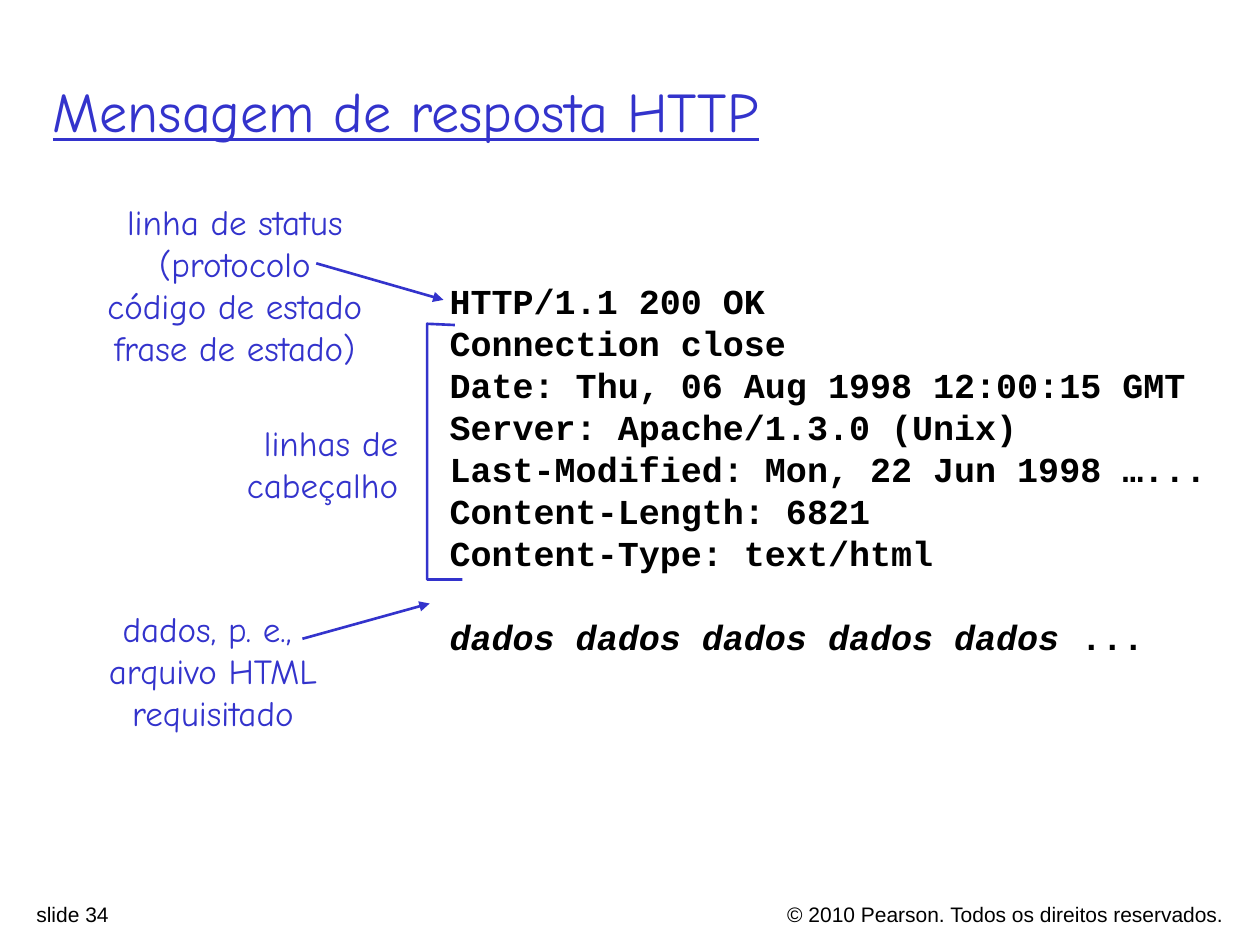
from pptx import Presentation
from pptx.dml.color import RGBColor
from pptx.enum.shapes import MSO_CONNECTOR
from pptx.enum.text import MSO_ANCHOR, PP_ALIGN
from pptx.oxml.ns import qn
from pptx.util import Inches, Pt
from lxml import etree

LEFT, CENTER, RIGHT = PP_ALIGN.LEFT, PP_ALIGN.CENTER, PP_ALIGN.RIGHT
MIDDLE = MSO_ANCHOR.MIDDLE
STRAIGHT = MSO_CONNECTOR.STRAIGHT
COLUMNS, ROWS = 100, 75
TITLE_ONLY = 5


def color(hex_text):
    return RGBColor.from_string(hex_text)


class HttpSlide:
    accent, ink = "3333CC", "000000"
    hand, mono, plain = "Comic Neue", "Courier New", "Arial"
    line_width = Pt(1.5)
    leading = Pt(24)

    def __init__(self, deck):
        self.slide = deck.slides.add_slide(deck.slide_layouts[TITLE_ONLY])
        self.column = deck.slide_width / COLUMNS
        self.row = deck.slide_height / ROWS

    def point(self, x, y):
        return round(x * self.column), round(y * self.row)

    def box(self, left, top, width, height):
        return *self.point(left, top), *self.point(width, height)

    def style(self, paragraph, font, size, hex_text, align=LEFT):
        paragraph.alignment = align
        paragraph.font.name = font
        paragraph.font.size = Pt(size)
        paragraph.font.color.rgb = color(hex_text)

    def title(self, text, *place):
        heading = self.slide.shapes.title
        heading.left, heading.top, heading.width, heading.height = self.box(*place)
        frame = heading.text_frame
        frame.text = text
        frame.vertical_anchor = MIDDLE
        self.style(frame.paragraphs[0], self.hand, 32, self.accent)
        frame.paragraphs[0].font.underline = True

    def text(self, lines, place, font, size, hex_text, align=LEFT, wrap=True):
        frame = self.slide.shapes.add_textbox(*self.box(*place)).text_frame
        frame.word_wrap = wrap
        frame.text = "\n".join(lines)
        for paragraph in frame.paragraphs:
            self.style(paragraph, font, size, hex_text, align)
        return frame.paragraphs

    def footer(self, line, place, align):
        self.text([line], place, self.plain, 12, self.ink, align)

    def label(self, lines, place, align=CENTER):
        for paragraph in self.text(lines, place, self.hand, 20, self.accent, align, False):
            paragraph.line_spacing = self.leading

    def message(self, headers, body, ending, place):
        paragraphs = self.text(headers + [body], place, self.mono, 20, self.ink)
        for paragraph in paragraphs:
            paragraph.line_spacing = self.leading
            paragraph.font.bold = True
        body_line = paragraphs[-1]
        body_line.space_before = self.leading
        body_line.runs[0].font.italic = True
        body_line.add_run().text = ending

    def arrow(self, start, end):
        connector = self.slide.shapes.add_connector(
            STRAIGHT, *self.point(*start), *self.point(*end))
        connector.line.color.rgb = color(self.accent)
        connector.line.width = self.line_width
        outline = connector.line._get_or_add_ln()
        etree.SubElement(outline, qn("a:tailEnd"), type="triangle")
        etree.SubElement(connector._element.spPr, qn("a:effectLst"))

    def bracket(self, start, *corners):
        builder = self.slide.shapes.build_freeform(*self.point(*start))
        builder.add_line_segments([self.point(*corner) for corner in corners], close=False)
        outline = builder.convert_to_shape()
        outline.shadow.inherit = False
        outline.fill.background()
        outline.line.color.rgb = color(self.accent)
        outline.line.width = self.line_width


def main():
    deck = Presentation()
    deck.slide_width, deck.slide_height = Inches(10), Inches(7.5)
    page = HttpSlide(deck)

    page.footer("© 2010 Pearson. Todos os direitos reservados.",
                (47, 71.1, 51.1, 2.4), RIGHT)
    page.footer("slide 34", (1.9, 71.1, 35.2, 2.3), LEFT)
    page.title("Mensagem de resposta HTTP", 3.2, 2.5, 87.6, 12.5)

    page.message(
        ["HTTP/1.1 200 OK",
         "Connection close",
         "Date: Thu, 06 Aug 1998 12:00:15 GMT",
         "Server: Apache/1.3.0 (Unix)",
         "Last-Modified: Mon, 22 Jun 1998 …...",
         "Content-Length: 6821",
         "Content-Type: text/html"],
        "dados dados dados dados dados", " ...", (34.7, 21.7, 63.8, 31))

    page.label(["linha de status", "(protocolo", "código de estado", "frase de estado)"],
               (7.5, 15.4, 22.3, 14.4))
    page.arrow((25.1, 20.9), (35.2, 23.8))
    page.bracket((36.1, 25.8), (33.9, 25.7), (33.9, 46), (36.7, 46))
    page.label(["linhas de", "cabeçalho"], (18.6, 33, 14, 7.7), RIGHT)
    page.arrow((24, 50.7), (34.1, 47.9))
    page.label(["dados, p. e., ", "arquivo HTML", "requisitado"], (7.5, 47.7, 18.8, 11))

    deck.save("out.pptx")


if __name__ == "__main__":
    main()
